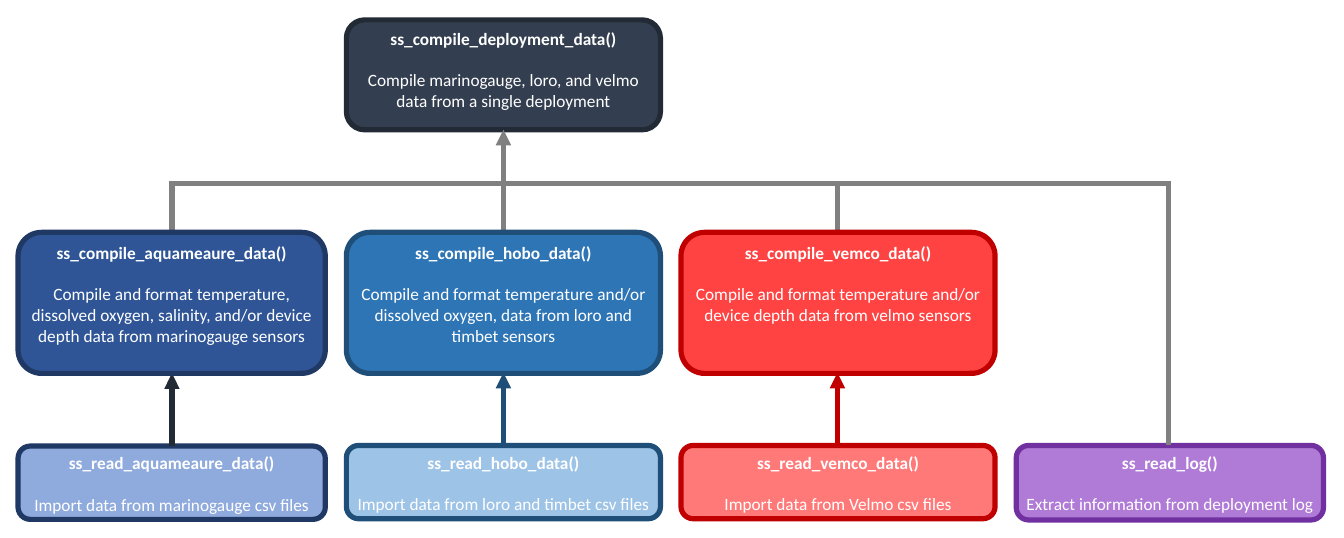
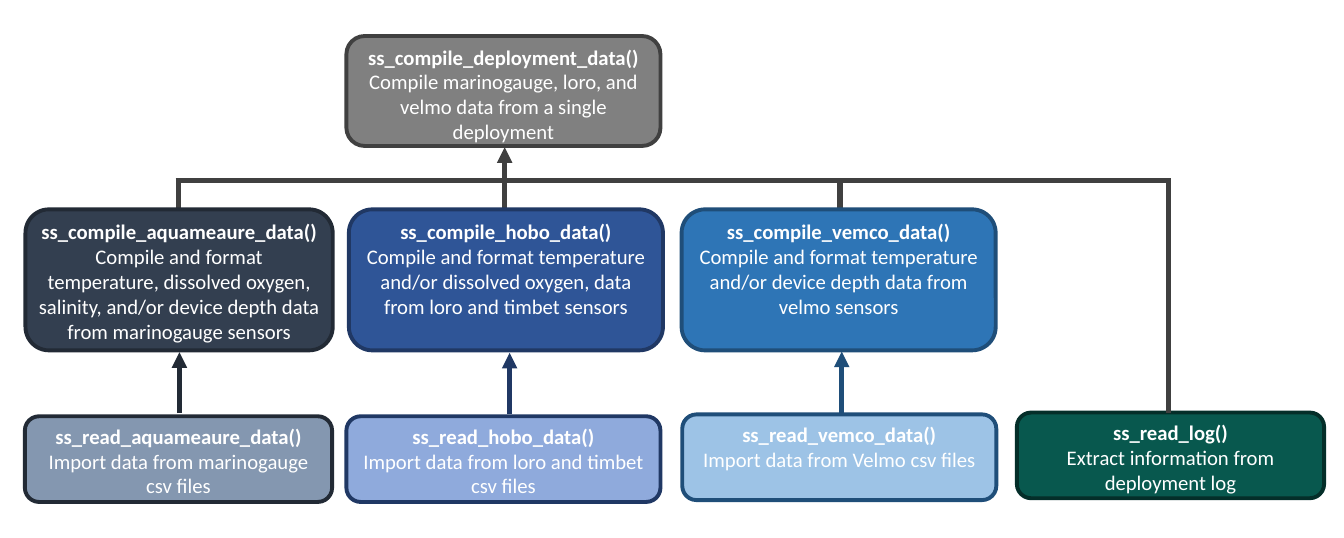
"""Build two flowcharts of the functions that read and compile sensor data."""
from lxml import etree
from pptx import Presentation
from pptx.dml.color import RGBColor as RGB
from pptx.enum.shapes import MSO_CONNECTOR as CONN, MSO_SHAPE as SHAPE
from pptx.enum.text import MSO_ANCHOR as ANCHOR, PP_ALIGN as ALIGN
from pptx.oxml.ns import qn
from pptx.util import Inches, Pt

COLORS = {
    "white": "FFFFFF", "gray": "808080", "charcoal": "404040",
    "slate": "333F50", "slate_dark": "222A35", "slate_light": "8497B0",
    "navy": "2F5597", "navy_dark": "203864", "navy_light": "8FAADC",
    "blue": "2E75B6", "blue_dark": "1F4E79", "blue_light": "9DC3E6",
    "red": "FF4343", "red_dark": "C00000", "red_light": "FF7979",
    "purple": "B07BD7", "purple_dark": "7030A0",
    "green": "08584E", "green_dark": "042E29",
}
FONT = "Calibri"
WIDE, NARROW = 5.06, 4.95
COMPILE_H, DEPLOY_H = 2.27, 1.77
DEPLOY_LEFT, LOG_X, BUS_END = 5.58, 18.82, 18.86

DEPLOY = ("ss_compile_deployment_data()",
          "Compile marinogauge, loro, and velmo data from a single deployment")
LOG = ("ss_read_log()", "Extract information from deployment log")
SENSORS = [
    (NARROW,
     ("ss_read_aquameaure_data()", "Import data from marinogauge csv files"),
     ("ss_compile_aquameaure_data()",
      "Compile and format temperature, dissolved oxygen, salinity, and/or "
      "device depth data from marinogauge sensors")),
    (WIDE,
     ("ss_read_hobo_data()", "Import data from loro and timbet csv files"),
     ("ss_compile_hobo_data()",
      "Compile and format temperature and/or dissolved oxygen, data from "
      "loro and timbet sensors")),
    (WIDE,
     ("ss_read_vemco_data()", "Import data from Velmo csv files"),
     ("ss_compile_vemco_data()",
      "Compile and format temperature and/or device depth data from velmo "
      "sensors")),
]

CHARTS = [
    {
        "format": {"size": 20, "gap": 24, "weight": 6},
        "deploy": (0.32, "slate", "slate_dark"),
        "log": (16.37, 7.17, 1.2, "purple", "purple_dark"),
        "read_h": 1.18, "compile_top": 3.74,
        "bus": (2.72, 2.95, "gray"),
        "stem": (8.11, 3.74, 2.09),
        "branches": [2.77, 13.49], "branch_start": 3.74,
        "sensors": [
            {"read": (0.29, 7.18), "compile_left": 0.29, "hue": "navy",
             "arrow": (2.77, 7.18, 6.01, "slate_dark")},
            {"read": (5.58, 7.17), "compile_left": 5.58, "hue": "blue",
             "arrow": (8.11, 7.17, 6, "blue_dark")},
            {"read": (10.97, 7.17), "compile_left": 10.97, "hue": "red",
             "arrow": (13.49, 7.17, 6, "red_dark")},
        ],
    },
    {
        "format": {"size": 24, "gap": 0, "weight": 4.5},
        "deploy": (0.58, "gray", "charcoal"),
        "log": (16.38, 6.64, 1.38, "green", "green_dark"),
        "read_h": 1.38, "compile_top": 3.37,
        "bus": (2.83, 2.9, "charcoal"),
        "stem": (8.13, 3.35, 2.37),
        "branches": [2.88, 13.53], "branch_start": 3.69,
        "sensors": [
            {"read": (0.4, 6.7), "compile_left": 0.41, "hue": "slate",
             "arrow": (2.89, 6.65, 5.67, "slate_dark")},
            {"read": (5.58, 6.7), "compile_left": 5.62, "hue": "navy",
             "arrow": (8.21, 6.67, 5.68, "navy_dark")},
            {"read": (10.99, 6.67), "compile_left": 10.98, "hue": "blue",
             "arrow": (13.56, 6.64, 5.66, "blue_dark")},
        ],
    },
]


def add_box(s, text, at, *, fill, line, size, gap, weight):
    """Add a rounded box with a bold function name above its description."""
    sp = s.shapes.add_shape(SHAPE.ROUNDED_RECTANGLE, *map(Inches, at))
    sp.shadow.inherit = False
    sp.fill.solid()
    sp.fill.fore_color.rgb = RGB.from_string(COLORS[fill])
    sp.line.color.rgb = RGB.from_string(COLORS[line])
    sp.line.width = Pt(weight)
    tf = sp.text_frame
    tf.word_wrap = True
    tf.vertical_anchor = ANCHOR.TOP
    for i, words in enumerate(text):
        p = tf.add_paragraph() if i else tf.paragraphs[0]
        p.alignment = ALIGN.CENTER
        p.space_before = Pt(gap * i)
        r = p.add_run()
        r.text = words
        r.font.name = FONT
        r.font.size = Pt(size)
        r.font.bold = i == 0
        r.font.color.rgb = RGB.from_string(COLORS["white"])


def add_line(s, x1, y1, x2, y2, color, arrow=False):
    """Add a straight line, with an arrowhead at its end if asked."""
    c = s.shapes.add_connector(CONN.STRAIGHT, *map(Inches, (x1, y1, x2, y2)))
    c.line.color.rgb = RGB.from_string(COLORS[color])
    c.line.width = Pt(6)
    if arrow:
        ln = c.line._get_or_add_ln()
        etree.SubElement(ln, qn("a:tailEnd"), type="triangle")
    etree.SubElement(c._element.spPr, qn("a:effectLst"))


prs = Presentation()
prs.slide_width, prs.slide_height = Inches(21.65), Inches(8.66)

for chart in CHARTS:
    s = prs.slides.add_slide(prs.slide_layouts[6])
    style = chart["format"]
    columns = list(zip(SENSORS, chart["sensors"]))

    for (width, text, _), col in columns:
        add_box(s, text, (*col["read"], width, chart["read_h"]),
                fill=col["hue"] + "_light", line=col["hue"] + "_dark", **style)

    left, top, height, fill, line = chart["log"]
    add_box(s, LOG, (left, top, NARROW, height), fill=fill, line=line, **style)
    log_top = top

    top, fill, line = chart["deploy"]
    add_box(s, DEPLOY, (DEPLOY_LEFT, top, WIDE, DEPLOY_H),
            fill=fill, line=line, **style)

    for col in chart["sensors"]:
        x, start, end, color = col["arrow"]
        add_line(s, x, start, x, end, color, arrow=True)

    bus_start, bus_y, color = chart["bus"]
    for x in chart["branches"]:
        add_line(s, x, chart["branch_start"], x, bus_y, color)
    add_line(s, bus_start, bus_y, BUS_END, bus_y, color)
    add_line(s, LOG_X, log_top, LOG_X, bus_y, color)
    x, start, end = chart["stem"]
    add_line(s, x, start, x, end, color, arrow=True)

    for (width, _, text), col in columns:
        at = (col["compile_left"], chart["compile_top"], width, COMPILE_H)
        add_box(s, text, at, fill=col["hue"], line=col["hue"] + "_dark", **style)

prs.save("out.pptx")
